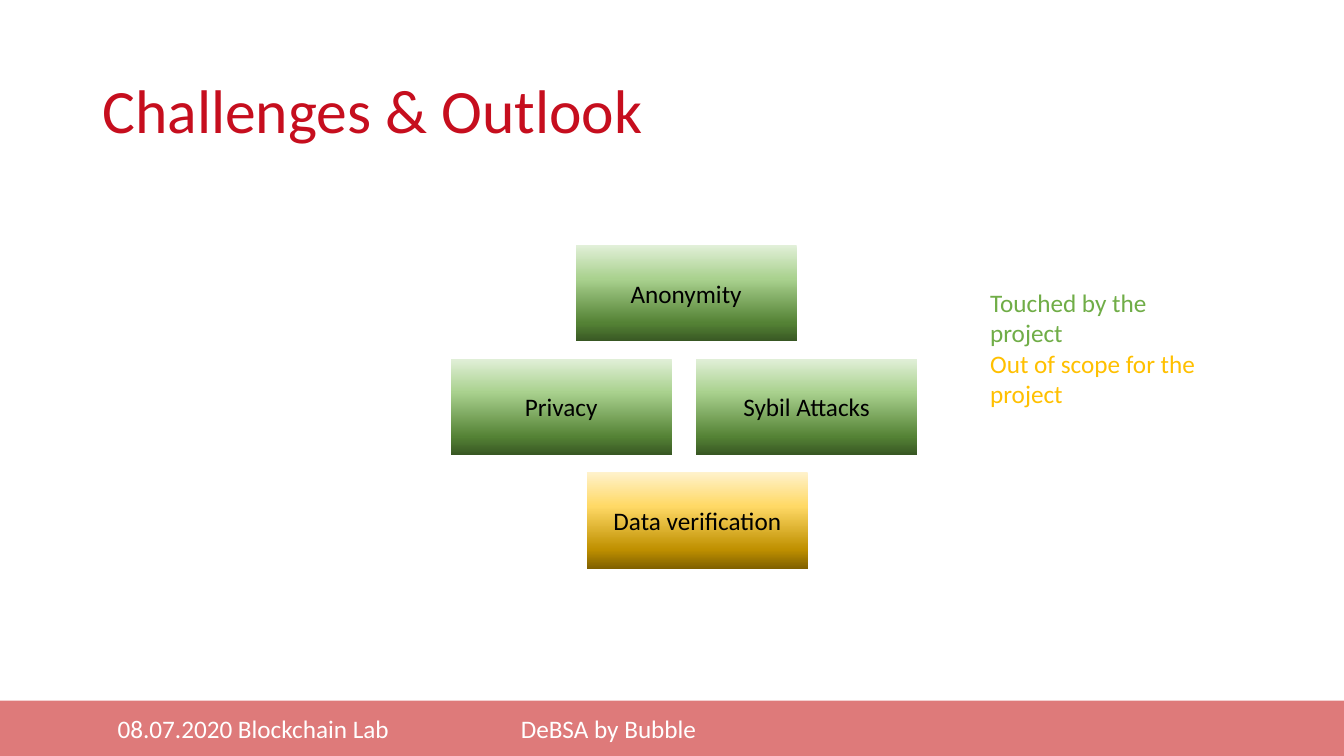
import pptx
import pptx.util
import pptx.dml.color
import pptx.enum.shapes
import pptx.enum.text
import pptx.oxml
import pptx.oxml.ns
from lxml import etree

Pt = pptx.util.Pt
ALIGN = pptx.enum.text.PP_ALIGN
ANCHOR = pptx.enum.text.MSO_ANCHOR
RECT = pptx.enum.shapes.MSO_SHAPE.RECTANGLE
qn = pptx.oxml.ns.qn

COLORS = {
    "title": "C60E1E",
    "footer": "C00000",
    "white": "FFFFFF",
    "black": "000000",
    "touched": "70AD47",
    "out_of_scope": "FFC000",
}
GRADIENTS = {
    "touched": [(0, "E2F0D9"), (35, "A9D18E"), (81, "548235"), (100, "385723")],
    "out_of_scope": [(0, "FFF2CC"), (35, "FFD966"), (80, "BF9000"), (100, "806000")],
}


class SlideBuilder:
    font = "Calibri"
    size = 18

    def __init__(self, s):
        self.s = s

    def format(self, p, color, align=ALIGN.LEFT, size=None):
        p.alignment = align
        for r in p.runs:
            r.font.name = self.font
            r.font.size = Pt(size or self.size)
            r.font.color.rgb = pptx.dml.color.RGBColor.from_string(COLORS[color])

    def title(self, text, x, y, w, h):
        sp = self.s.shapes.title
        sp.left, sp.top, sp.width, sp.height = Pt(x), Pt(y), Pt(w), Pt(h)
        tf = sp.text_frame
        tf.text = text
        tf.auto_size = pptx.enum.text.MSO_AUTO_SIZE.NONE
        tf.vertical_anchor = ANCHOR.MIDDLE
        p = tf.paragraphs[0]
        p.line_spacing = 0.9
        self.format(p, "title", size=44)

    def rect(self, x, y, w, h):
        sp = self.s.shapes.add_shape(RECT, Pt(x), Pt(y), Pt(w), Pt(h))
        sp.shadow.inherit = False
        sp.line.fill.background()
        sp.text_frame.word_wrap = True
        sp.text_frame.vertical_anchor = ANCHOR.MIDDLE
        return sp

    def footer(self, text, x, y, w, h, indent, tab):
        sp = self.rect(x, y, w, h)
        sp.fill.solid()
        sp.fill.fore_color.rgb = pptx.dml.color.RGBColor.from_string(COLORS["footer"])
        clr = sp.fill._xPr.find(".//" + qn("a:srgbClr"))
        etree.SubElement(clr, qn("a:alpha"), val="52000")
        tf = sp.text_frame
        tf.margin_left = Pt(indent)
        tf.text = text
        p = tf.paragraphs[0]
        tabs = etree.SubElement(p._p.get_or_add_pPr(), qn("a:tabLst"))
        etree.SubElement(tabs, qn("a:tab"), pos=str(Pt(tab)), algn="l")
        self.format(p, "white")

    def challenge(self, text, status, x, y, w, h):
        sp = self.rect(x, y, w, h)
        sp.fill.gradient()
        sp.fill.gradient_angle = 270
        stops = sp.fill._xPr.find(".//" + qn("a:gsLst"))
        for gs in list(stops):
            stops.remove(gs)
        for pos, color in GRADIENTS[status]:
            gs = etree.SubElement(stops, qn("a:gs"), pos=str(pos * 1000))
            etree.SubElement(gs, qn("a:srgbClr"), val=color)
        sp.text_frame.text = text
        self.format(sp.text_frame.paragraphs[0], "black", ALIGN.CENTER)

    def legend(self, entries, x, y, w, h):
        tf = self.s.shapes.add_textbox(Pt(x), Pt(y), Pt(w), Pt(h)).text_frame
        tf.word_wrap = True
        tf.text = "\n".join(text for text, _ in entries)
        for p, (_, color) in zip(tf.paragraphs, entries):
            self.format(p, color)


def main():
    prs = pptx.Presentation()
    prs.slide_width, prs.slide_height = Pt(960), Pt(540)
    slide = SlideBuilder(prs.slides.add_slide(prs.slide_layouts[5]))

    slide.footer("08.07.2020 Blockchain Lab\tDeBSA by Bubble", 0, 500.4, 960, 39.6, 84, 288)
    slide.title("Challenges & Outlook", 66, 29, 828, 104.4)

    top, row_pitch, width, height = 174.9, 81.2, 157.8, 69
    challenges = [
        ("Anonymity", "touched", 411.2, 0),
        ("Privacy", "touched", 322, 1),
        ("Sybil Attacks", "touched", 497.2, 1),
        ("Data verification", "out_of_scope", 419.2, 2),
    ]
    for text, status, x, row in challenges:
        slide.challenge(text, status, x, top + row * row_pitch, width, height)

    slide.legend(
        [("Touched by the project", "touched"),
         ("Out of scope for the project", "out_of_scope")],
        700.2, 201.8, 175, 94.5,
    )
    prs.save("out.pptx")


if __name__ == "__main__":
    main()
